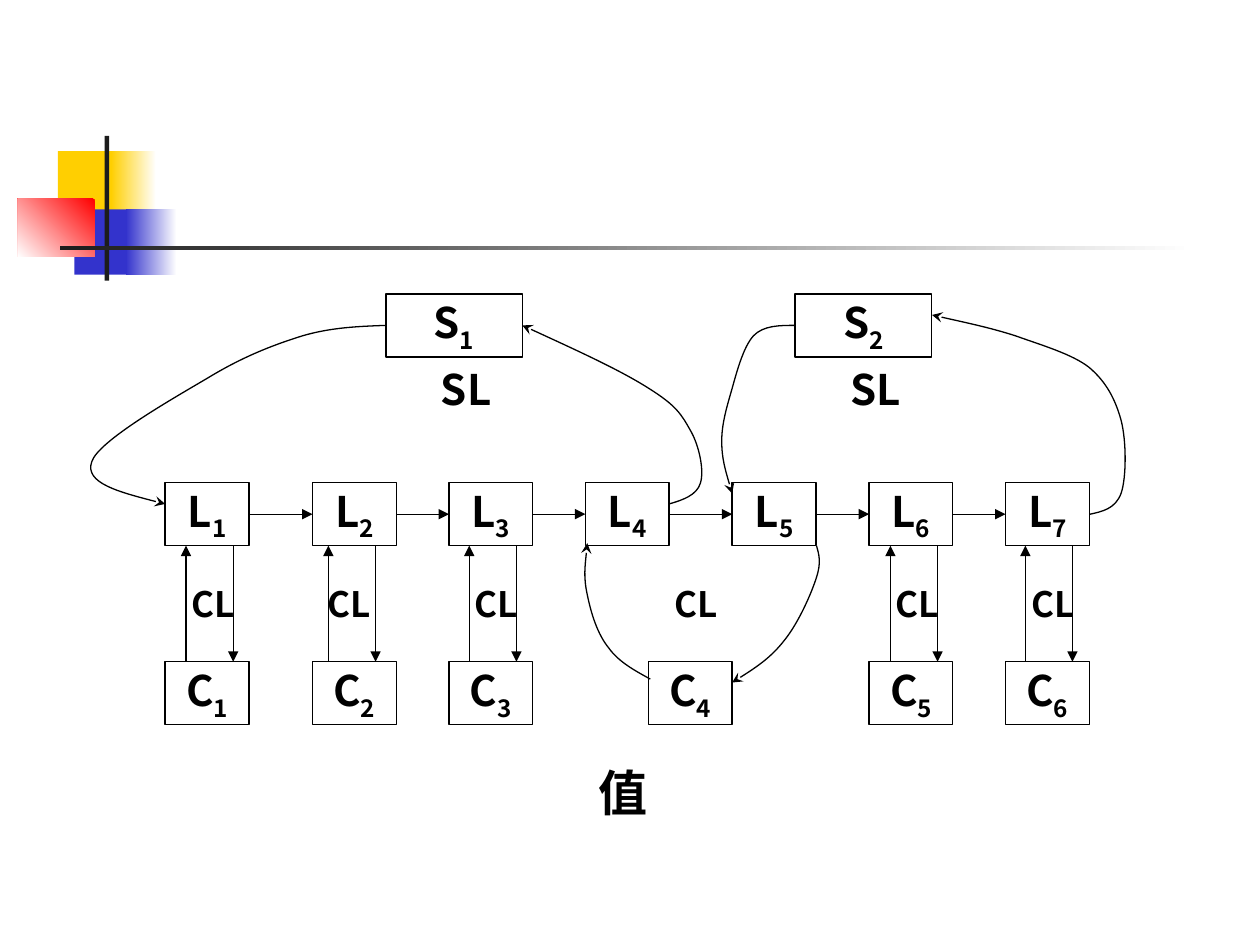
from dataclasses import dataclass

from lxml.etree import SubElement
from pptx import Presentation
from pptx.dml.color import RGBColor
from pptx.enum.shapes import MSO_CONNECTOR as Connector, MSO_SHAPE as Shape
from pptx.enum.text import MSO_ANCHOR as Anchor, MSO_AUTO_SIZE as AutoSize, PP_ALIGN as Align
from pptx.oxml.ns import qn
from pptx.util import Cm, Pt


@dataclass(frozen=True)
class Theme:
    font: str = "Noto Sans CJK SC"
    ink: str = "000000"
    white: str = "FFFFFF"
    gold: str = "FFCF01"
    blue: str = "3333CC"
    red: str = "FF0000"
    dark: str = "1C1C1C"
    line: float = 0.75
    node_size: int = 24
    link_size: int = 20
    value_size: int = 28


class Diagram:
    def __init__(self, page, theme):
        self.page = page
        self.theme = theme

    def block(self, left, top, width, height, color, fade_to=None, angle=180):
        """A decorative rectangle, plain or fading from color to fade_to."""
        box = self.page.shapes.add_shape(
            Shape.RECTANGLE, Cm(left), Cm(top), Cm(width), Cm(height))
        box.shadow.inherit = False
        box.line.fill.background()
        if fade_to is None:
            box.fill.solid()
            box.fill.fore_color.rgb = RGBColor.from_string(color)
            return
        box.fill.gradient()
        box.fill.gradient_angle = angle
        for stop, stop_color in zip(box.fill.gradient_stops, (color, fade_to)):
            stop.color.rgb = RGBColor.from_string(stop_color)

    def node(self, left, top, width, height, letter, index):
        box = self.page.shapes.add_shape(
            Shape.RECTANGLE, Cm(left), Cm(top), Cm(width), Cm(height))
        box.shadow.inherit = False
        box.fill.background()
        self._outline(box)
        para = self._centre(box.text_frame)
        self._span(para, letter, self.theme.node_size)
        self._span(para, str(index), self.theme.node_size, subscript=True)

    def label(self, left, top, text, size, width=2.34, height=1.06):
        box = self.page.shapes.add_textbox(Cm(left), Cm(top), Cm(width), Cm(height))
        self._span(self._centre(box.text_frame), text, size)

    def caption(self, left, top, width, height, text):
        box = self.page.shapes.add_textbox(Cm(left), Cm(top), Cm(width), Cm(height))
        box.text_frame.word_wrap = True
        box.text_frame.auto_size = AutoSize.SHAPE_TO_FIT_TEXT
        self._span(box.text_frame.paragraphs[0], text, self.theme.node_size)

    def arrow(self, x1, y1, x2, y2):
        line = self.page.shapes.add_connector(
            Connector.STRAIGHT, Cm(x1), Cm(y1), Cm(x2), Cm(y2))
        self._outline(line, "triangle")
        SubElement(line._element.spPr, qn("a:effectLst"))

    def curve(self, start, *points):
        """An open curve; each three points make one Bezier segment."""
        builder = self.page.shapes.build_freeform(Cm(start[0]), Cm(start[1]))
        builder.add_line_segments([(Cm(x), Cm(y)) for x, y in points], close=False)
        shape = builder.convert_to_shape()
        shape.shadow.inherit = False
        shape.fill.background()
        self._outline(shape, "stealth")
        steps = list(shape._element.iter(qn("a:lnTo")))
        outline = steps[0].getparent()
        for first in range(0, len(steps), 3):
            bezier = SubElement(outline, qn("a:cubicBezTo"))
            for step in steps[first:first + 3]:
                bezier.append(step[0])
                outline.remove(step)

    def _outline(self, shape, arrowhead=None):
        shape.line.color.rgb = RGBColor.from_string(self.theme.ink)
        shape.line.width = Pt(self.theme.line)
        if arrowhead:
            SubElement(shape._element.spPr.find(qn("a:ln")), qn("a:tailEnd"), type=arrowhead)

    def _centre(self, frame):
        frame.word_wrap = False
        frame.vertical_anchor = Anchor.MIDDLE
        para = frame.paragraphs[0]
        para.alignment = Align.CENTER
        return para

    def _span(self, para, text, size, subscript=False):
        span = para.add_run()
        span.text = text
        span.font.size = Pt(size)
        span.font.bold = True
        span.font.name = self.theme.font
        span.font.color.rgb = RGBColor.from_string(self.theme.ink)
        properties = span.font._element
        SubElement(properties, qn("a:ea"), typeface=self.theme.font)
        if subscript:
            properties.set("baseline", "-25000")


def main():
    deck = Presentation()
    deck.slide_width, deck.slide_height = Cm(25.4), Cm(19.05)
    theme = Theme()
    diagram = Diagram(deck.slides.add_slide(deck.slide_layouts[6]), theme)

    # Corner decoration and title rule
    diagram.block(1.17, 3.05, 1.22, 1.32, theme.gold)
    diagram.block(2.24, 3.05, 0.91, 1.32, theme.white, theme.gold)
    diagram.block(1.5, 4.22, 1.17, 1.32, theme.blue)
    diagram.block(2.54, 4.22, 1.02, 1.32, theme.white, theme.blue)
    diagram.block(0.36, 4.01, 1.55, 1.17, theme.red, theme.white, angle=225)
    diagram.block(2.11, 2.74, 0.09, 2.92, theme.dark)
    diagram.block(1.22, 4.95, 22.86, 0.09, theme.white, theme.dark)

    # Rows of nodes
    node_width, node_height = 1.69, 1.27
    s_top, l_top, c_top = 5.93, 9.73, 13.34
    l_lefts = [3.33, 6.3, 9.05, 11.8, 14.76, 17.52, 20.27]
    c_lefts = l_lefts[:3] + [13.07] + l_lefts[5:]
    for index, left in enumerate([7.78, 16.03], 1):
        diagram.node(left, s_top, 2.75, node_height, "S", index)
        diagram.caption(left + 0.86, s_top + node_height, 1.9, node_height, "SL")
    for letter, top, lefts in (("L", l_top, l_lefts), ("C", c_top, c_lefts)):
        for index, left in enumerate(lefts, 1):
            diagram.node(left, top, node_width, node_height, letter, index)

    # Link labels
    for left in [3.12, 5.87, 8.84, 12.86, 17.31, 20.06]:
        diagram.label(left, 11.64, "CL", theme.link_size)

    # Chain through the L row
    chain_y = l_top + node_height / 2
    for left, following in zip(l_lefts, l_lefts[1:]):
        diagram.arrow(left + node_width, chain_y, following, chain_y)

    # Paired arrows between L and C
    l_bottom = l_top + node_height
    for down_x in [4.7, 7.57, 10.41, 18.9, 21.62]:
        up_x = down_x - 0.95
        diagram.arrow(down_x, l_bottom, down_x, c_top)
        diagram.arrow(up_x, c_top, up_x, l_bottom)

    # S1 to L1, L4 to S1
    diagram.curve((7.78, 6.56), (7.24, 6.58), (6.68, 6.6), (6.1, 6.77),
                  (5.49, 6.96), (4.88, 7.2), (4.19, 7.62),
                  (3.48, 8.04), (1.98, 8.89), (1.85, 9.31),
                  (1.7, 9.74), (2.51, 9.95), (3.33, 10.16))
    diagram.curve((13.49, 10.16), (13.77, 10.08), (14.05, 9.98), (14.12, 9.74),
                  (14.2, 9.5), (14.1, 8.99), (13.92, 8.68),
                  (13.74, 8.36), (13.64, 8.18), (13.08, 7.83),
                  (12.5, 7.46), (11.51, 7.01), (10.53, 6.56))

    # S2 to L5, L7 to S2
    diagram.curve((16.03, 6.56), (15.72, 6.56), (15.39, 6.56), (15.19, 6.77),
                  (14.99, 6.99), (14.86, 7.47), (14.76, 7.83),
                  (14.66, 8.18), (14.55, 8.53), (14.55, 8.89),
                  (14.55, 9.25), (14.66, 9.6), (14.76, 9.95))
    diagram.curve((21.96, 10.37), (22.23, 10.31), (22.48, 10.26), (22.6, 9.95),
                  (22.71, 9.63), (22.71, 8.89), (22.6, 8.47),
                  (22.48, 8.04), (22.3, 7.7), (21.96, 7.41),
                  (21.62, 7.14), (21, 6.96), (20.47, 6.77),
                  (19.94, 6.6), (19.35, 6.48), (18.79, 6.35))

    # L5 to C4, C4 to L4
    diagram.curve((16.46, 11), (16.51, 11.18), (16.56, 11.33), (16.46, 11.64),
                  (16.36, 11.96), (16.1, 12.55), (15.82, 12.9),
                  (15.54, 13.26), (15.16, 13.51), (14.76, 13.76))
    diagram.curve((13.11, 13.69), (12.78, 13.51), (12.47, 13.34), (12.27, 13.06),
                  (12.04, 12.78), (11.91, 12.34), (11.84, 11.99),
                  (11.76, 11.63), (11.81, 11.28), (11.84, 10.95))

    # Closing word
    diagram.label(11.38, 15.44, "值", theme.value_size)

    deck.save("out.pptx")


if __name__ == "__main__":
    main()
